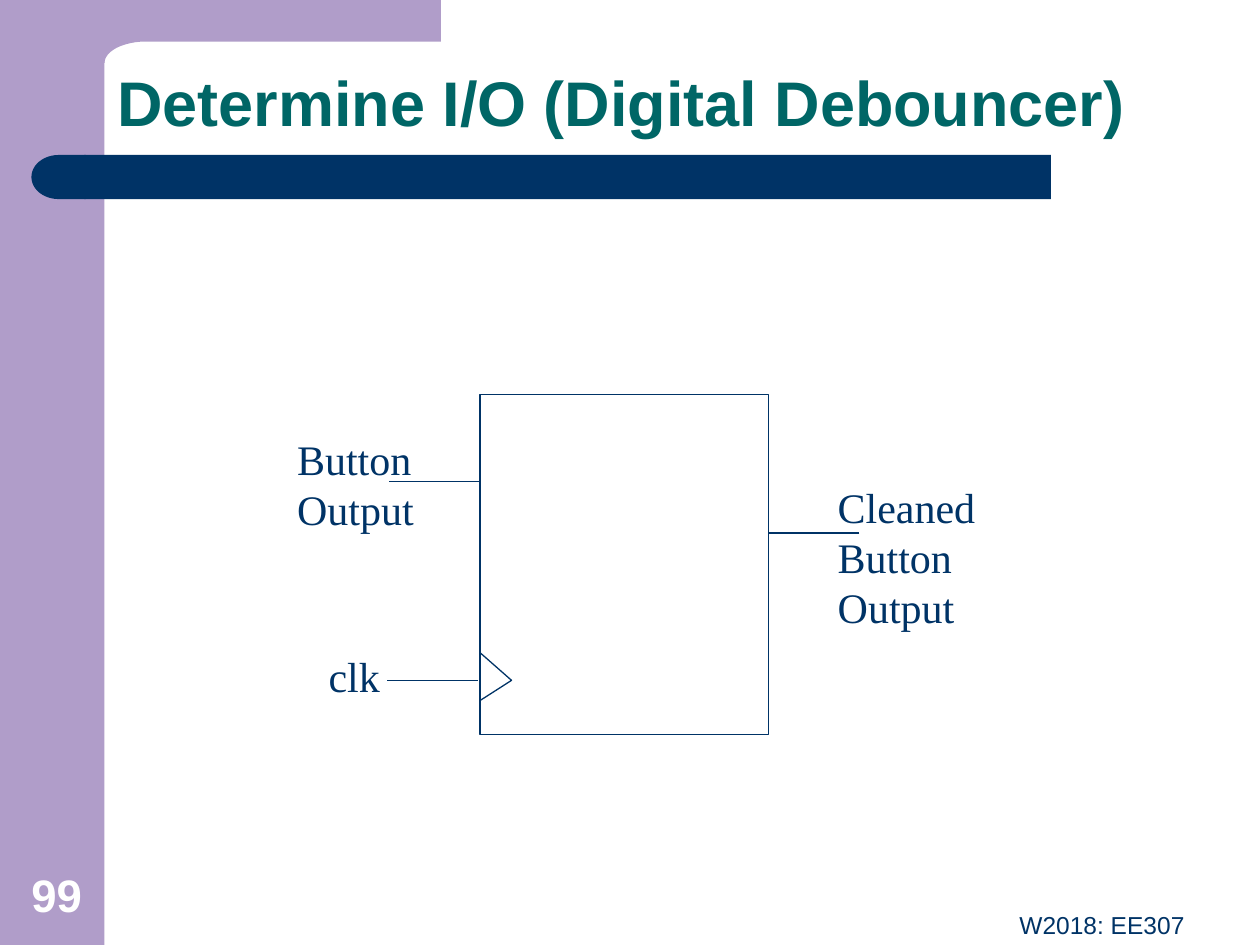
from dataclasses import dataclass
from math import cos, pi, sin

from lxml.etree import SubElement
from pptx import Presentation
from pptx.dml.color import RGBColor as Color
from pptx.enum.shapes import MSO_CONNECTOR as Connector, MSO_SHAPE as Shape
from pptx.enum.text import MSO_ANCHOR as Anchor, PP_ALIGN as Align
from pptx.oxml.ns import qn
from pptx.util import Inches, Pt


@dataclass(frozen=True)
class Theme:
    navy: Color = Color(0x00, 0x33, 0x66)
    teal: Color = Color(0x00, 0x66, 0x66)
    lilac: Color = Color(0xB0, 0x9D, 0xC9)
    white: Color = Color(0xFF, 0xFF, 0xFF)
    sans: str = "Arial"
    serif: str = "Times New Roman"
    title_size: int = 36
    number_size: int = 26
    label_size: int = 24
    footer_size: int = 14
    line_width: float = 0.75


theme = Theme()
presentation = Presentation()
presentation.slide_width, presentation.slide_height = Inches(10), Inches(7.5)
COLUMN = presentation.slide_width / 10
ROW = presentation.slide_height / 7.5
slide = presentation.slides.add_slide(presentation.slide_layouts[5])
shapes = slide.shapes


def grid(*lengths):
    return [round(length * (ROW if index % 2 else COLUMN))
            for index, length in enumerate(lengths)]


def write(frame, lines, font, size, color, bold=False, align=Align.LEFT, anchor=Anchor.TOP):
    frame.word_wrap = True
    frame.vertical_anchor = anchor
    for index, line in enumerate(lines):
        paragraph = frame.add_paragraph() if index else frame.paragraphs[0]
        paragraph.alignment = align
        run = paragraph.add_run()
        run.text = line
        run.font.name, run.font.size, run.font.bold = font, Pt(size), bold
        run.font.color.rgb = color


sidebar_width, band_height, corner_width, corner_height = 0.83, 0.33, 0.33, 0.17
corner = []
for step in range(13):
    angle = pi / 2 * step / 12
    corner.append((sidebar_width + corner_width * (1 - sin(angle)),
                   band_height + corner_height * (1 - cos(angle))))
corner.reverse()
outline = [(0.5, 0), (0.5, 0.5), *corner, (3.5, band_height)]
builder = shapes.build_freeform(*grid(3.5, 0))
builder.add_line_segments([grid(*point) for point in outline], close=True)
top_band = builder.convert_to_shape()

bar_top, bar_height = 1.23, 0.35
sidebar = shapes.add_shape(Shape.RECTANGLE, *grid(0, 0, sidebar_width, 7.5))
title_bar = shapes.add_shape(Shape.RECTANGLE, *grid(0.67, bar_top, 7.67, bar_height))
bar_cap = shapes.add_shape(Shape.FLOWCHART_DELAY, *grid(0.25, bar_top, 0.43, bar_height))
bar_cap.element.spPr.find(qn("a:xfrm")).set("flipH", "1")

for shape, color in ((top_band, theme.lilac), (sidebar, theme.lilac),
                     (title_bar, theme.navy), (bar_cap, theme.navy)):
    shape.shadow.inherit = False
    shape.fill.solid()
    shape.fill.fore_color.rgb = color
    shape.line.fill.background()

title = shapes.title
title.left, title.top, title.width, title.height = grid(sidebar_width, band_height, 8.67, 0.83)
write(title.text_frame, ["Determine I/O (Digital Debouncer)"], theme.sans, theme.title_size,
      theme.teal, bold=True, anchor=Anchor.BOTTOM)
title.text_frame.paragraphs[0].line_spacing = 0.9

block_left, block_width, clock_row = 3.81, 2.29, 5.4
block_right = block_left + block_width
block = shapes.add_shape(Shape.RECTANGLE, *grid(block_left, 3.13, block_width, 2.7))
builder = shapes.build_freeform(*grid(block_left, 5.18))
builder.add_line_segments([grid(4.06, clock_row), grid(block_left, 5.56)], close=False)
clock_wedge = builder.convert_to_shape()
for shape in (block, clock_wedge):
    shape.shadow.inherit = False
    shape.fill.background()
    shape.line.color.rgb = theme.navy
    shape.line.width = Pt(theme.line_width)

wire_length = 0.72
for wire_right, row in ((block_left, 3.82), (block_left - 0.02, clock_row),
                        (block_right + wire_length, 4.23)):
    wire = shapes.add_connector(Connector.STRAIGHT,
                                *grid(wire_right, row, wire_right - wire_length, row))
    wire.line.color.rgb = theme.navy
    wire.line.width = Pt(theme.line_width)
    SubElement(wire.element.spPr, qn("a:effectLst"))

for place, lines in (
    ((2.26, 3.39, 3.07, 0.9), ["Button", "Output"]),
    ((2.51, 5.11, 0.94, 0.5), ["clk"]),
    ((6.55, 3.77, 2.42, 1.3), ["Cleaned", "Button", "Output"]),
):
    label = shapes.add_textbox(*grid(*place))
    write(label.text_frame, lines, theme.serif, theme.label_size, theme.navy)

slide_number = shapes.add_textbox(*grid(0, 6.83, 0.9, 0.53))
write(slide_number.text_frame, ["99"], theme.sans, theme.number_size, theme.white,
      bold=True, align=Align.CENTER, anchor=Anchor.BOTTOM)
footer = shapes.add_textbox(*grid(3.42, 7.17, 6.08, 0.33))
write(footer.text_frame, ["W2018: EE307"], theme.sans, theme.footer_size, theme.navy,
      align=Align.RIGHT)

presentation.save("out.pptx")
